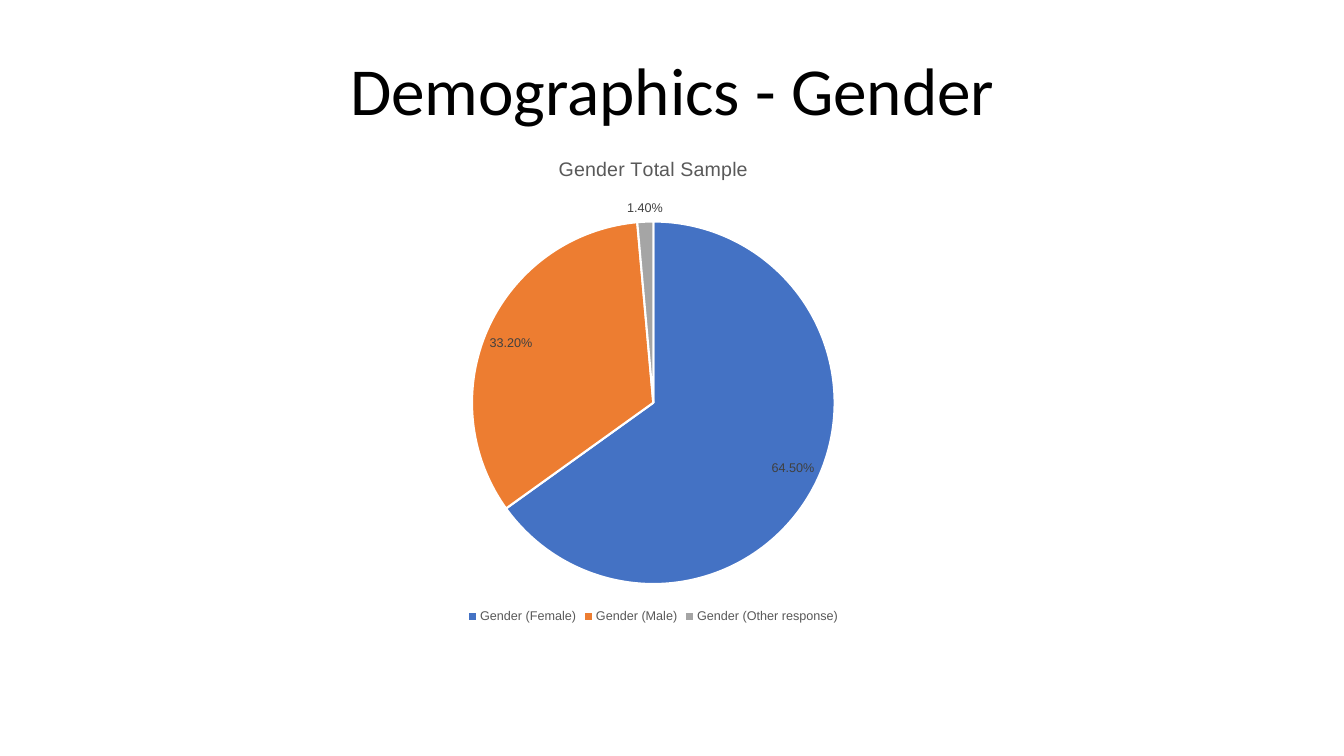
from pptx import Presentation
from pptx.chart.data import CategoryChartData
from pptx.dml.color import RGBColor
from pptx.enum.chart import XL_CHART_TYPE, XL_LABEL_POSITION, XL_LEGEND_POSITION
from pptx.enum.text import MSO_ANCHOR, PP_ALIGN
from pptx.util import Inches, Pt

PIE = XL_CHART_TYPE.PIE
BEST_FIT = XL_LABEL_POSITION.BEST_FIT
LEGEND_BOTTOM = XL_LEGEND_POSITION.BOTTOM
CENTER = PP_ALIGN.CENTER
ANCHOR_BOTTOM = MSO_ANCHOR.BOTTOM

BLACK = RGBColor(0x00, 0x00, 0x00)
WHITE = RGBColor(0xFF, 0xFF, 0xFF)
GRAY = RGBColor(0x59, 0x59, 0x59)
DARK_GRAY = RGBColor(0x40, 0x40, 0x40)
BLUE = RGBColor(0x44, 0x72, 0xC4)
ORANGE = RGBColor(0xED, 0x7D, 0x31)
SILVER = RGBColor(0xA5, 0xA5, 0xA5)

GENDERS = [
    ("Gender (Female)", 0.645, BLUE),
    ("Gender (Male)", 0.332, ORANGE),
    ("Gender (Other response)", 0.014, SILVER),
]


def style_font(font, name, size, color):
    font.name = name
    font.size = Pt(size)
    font.bold = False
    font.color.rgb = color


deck = Presentation()
deck.slide_width = Inches(13.33)
deck.slide_height = Inches(7.5)
page = deck.slides.add_slide(deck.slide_layouts[5])

# Title
title = page.shapes.title
title.left, title.top = Inches(0.92), Inches(0.32)
title.width, title.height = Inches(11.5), Inches(1.02)
title.text_frame.text = "Demographics - Gender"
title.text_frame.vertical_anchor = ANCHOR_BOTTOM
para = title.text_frame.paragraphs[0]
para.alignment = CENTER
para.line_spacing = 0.9
style_font(para.font, "Calibri", 48, BLACK)

# Pie chart
data = CategoryChartData(number_format="0.00%")
data.categories = [name for name, share, color in GENDERS]
data.add_series("Series 1", [share for name, share, color in GENDERS])
chart = page.shapes.add_chart(
    PIE, Inches(0.73), Inches(1.37), Inches(11.5), Inches(4.86), data
).chart
style_font(chart.font, "Arial", 10, BLACK)

# Chart title and legend
chart.has_title = True
chart.chart_title.include_in_layout = False
chart.chart_title.text_frame.text = "Gender Total Sample"
style_font(chart.chart_title.text_frame.paragraphs[0].font, "Arial", 14, GRAY)
chart.has_legend = True
chart.legend.position = LEGEND_BOTTOM
chart.legend.include_in_layout = False
style_font(chart.legend.font, "Arial", 9, GRAY)

# Slices
plot = chart.plots[0]
plot.vary_by_categories = True
for index, (name, share, color) in enumerate(GENDERS):
    slice_format = plot.series[0].points[index].format
    slice_format.fill.solid()
    slice_format.fill.fore_color.rgb = color
    slice_format.line.color.rgb = WHITE
    slice_format.line.width = Pt(1.5)

# Slice labels
labels = plot.series[0].data_labels
labels.show_value = True
labels.show_percentage = False
labels.number_format = "0.00%"
labels.number_format_is_linked = False
labels.position = BEST_FIT
style_font(labels.font, "Arial", 9, DARK_GRAY)

deck.save("out.pptx")
